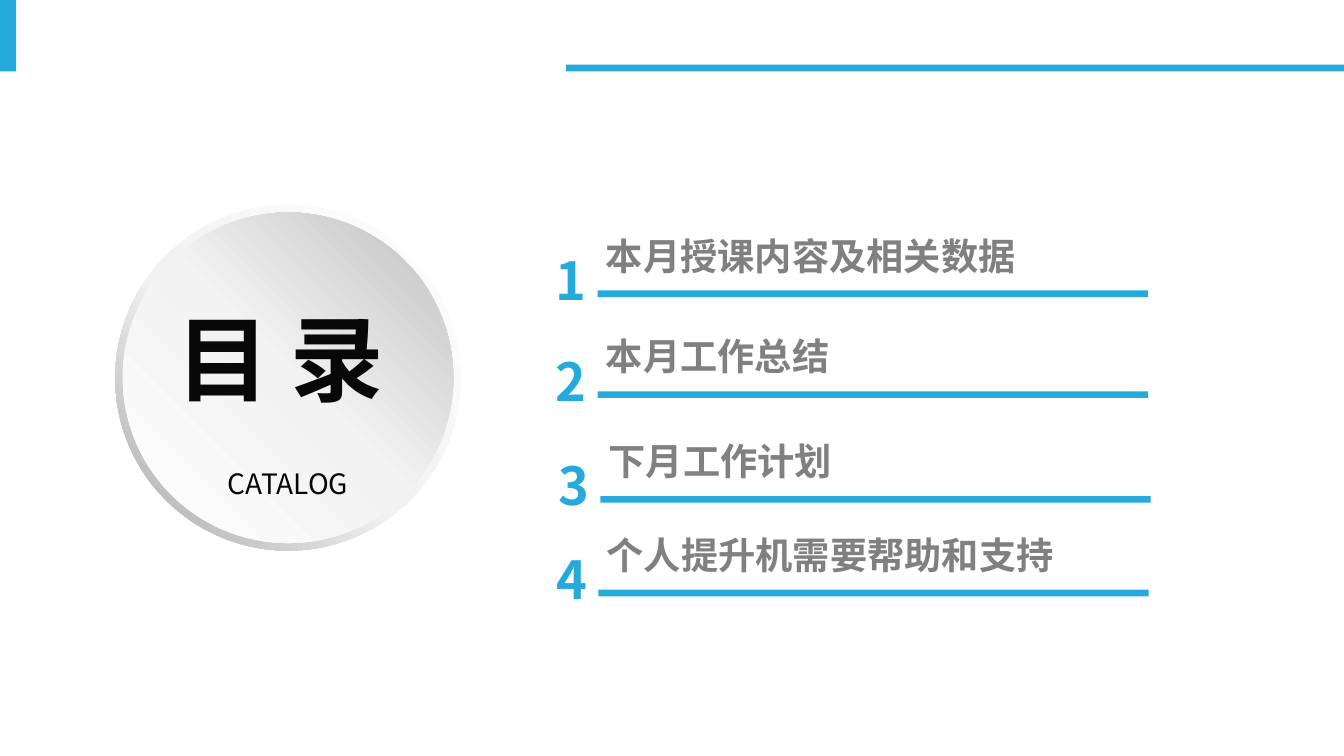
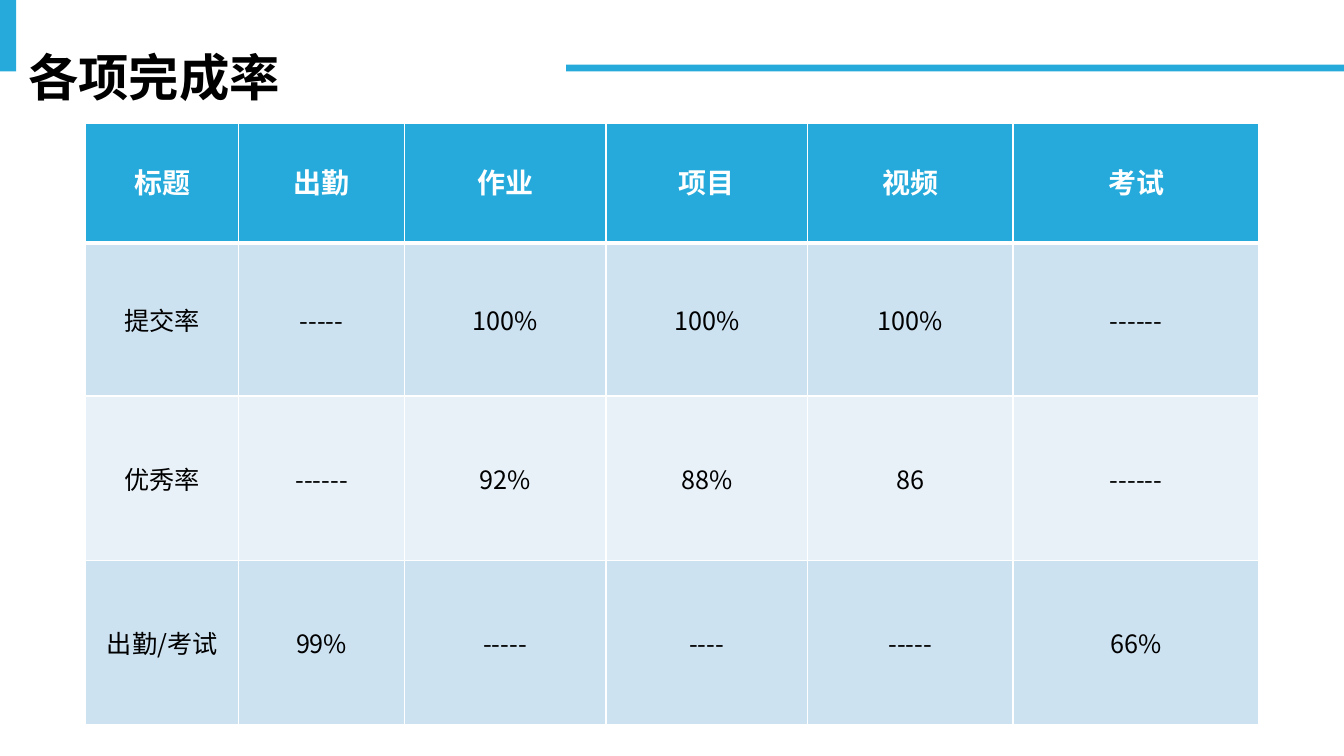
from copy import deepcopy

from lxml import etree
from pptx import Presentation
from pptx.dml.color import RGBColor
from pptx.enum.shapes import MSO_SHAPE
from pptx.enum.text import MSO_ANCHOR, MSO_AUTO_SIZE, PP_ALIGN
from pptx.oxml.ns import qn
from pptx.util import Cm, Pt

RECTANGLE, OVAL, DONUT = MSO_SHAPE.RECTANGLE, MSO_SHAPE.OVAL, MSO_SHAPE.DONUT
TOP, MIDDLE = MSO_ANCHOR.TOP, MSO_ANCHOR.MIDDLE
LEFT, CENTER = PP_ALIGN.LEFT, PP_ALIGN.CENTER
FIT_SHAPE = MSO_AUTO_SIZE.SHAPE_TO_FIT_TEXT

SLIDE_WIDTH, SLIDE_HEIGHT = 33.87, 19.05
FONT, HEADER_FONT = "Noto Sans CJK SC", "Arial"
BLUE, GRAY, INK = "26AADB", "808080", "080808"
BLACK, WHITE = "000000", "FFFFFF"
BAND_FILLS = ("CDE2F1", "E8F1F8")
BAR_HEIGHT = 0.17

# Each entry: label, top, shift to the right
CATALOG = [
    ("本月授课内容及相关数据", 5.87, 0),
    ("本月工作总结", 8.41, 0),
    ("下月工作计划", 11.05, 0.07),
    ("个人提升机需要帮助和支持", 13.41, 0.02),
]
DISC_CENTER = (7.26, 9.52)
# Each layer: shape, diameter, gradient angle, stops
DISC_LAYERS = [
    (DONUT, 8.71, 225, [(0, WHITE), (0.55, "F2F2F2"), (1, "A6A6A6")]),
    (OVAL, 8.33, 45, [(0, WHITE), (0.51, "F2F2F2"), (1, "BFBFBF")]),
]
RIM_RATIO = 0.049

RATES = [
    ("标题", "出勤", "作业", "项目", "视频", "考试"),
    ("提交率", "-----", "100%", "100%", "100%", "------"),
    ("优秀率", "------", "92%", "88%", "86", "------"),
    ("出勤/考试", "99%", "-----", "----", "-----", "66%"),
]
COLUMN_WIDTHS = (3.86, 4.17, 5.08, 5.08, 5.18, 6.2)
ROW_HEIGHTS = (3, 3.86, 4.14, 4.14)


def color(hex_string):
    return RGBColor.from_string(hex_string)


def write(text_frame, text, size, hex_color, bold=False, align=LEFT, font=FONT):
    text_frame.text = text
    paragraph = text_frame.paragraphs[0]
    paragraph.alignment = align
    for run in paragraph.runs:
        run.font.size = Pt(size)
        run.font.bold = bold
        run.font.name = font
        run.font.color.rgb = color(hex_color)
        east_asian = etree.SubElement(run._r.get_or_add_rPr(), qn("a:ea"))
        east_asian.set("typeface", font)


def add_text(slide, box, text, size, hex_color, bold=True, align=LEFT,
             anchor=TOP, inset=True, grow=True):
    shape = slide.shapes.add_textbox(*map(Cm, box))
    text_frame = shape.text_frame
    text_frame.word_wrap = True
    text_frame.vertical_anchor = anchor
    if grow:
        text_frame.auto_size = FIT_SHAPE
    if not inset:
        text_frame.margin_left = text_frame.margin_right = 0
        text_frame.margin_top = text_frame.margin_bottom = 0
    write(text_frame, text, size, hex_color, bold, align)


def add_plain_shape(slide, kind, box):
    shape = slide.shapes.add_shape(kind, *map(Cm, box))
    shape.shadow.inherit = False
    shape.line.fill.background()
    return shape


def add_bar(slide, left, top, width, height=BAR_HEIGHT):
    bar = add_plain_shape(slide, RECTANGLE, (left, top, width, height))
    bar.fill.solid()
    bar.fill.fore_color.rgb = color(BLUE)


def fill_gradient(shape, angle, stops):
    """Fill with three stops; the angle runs counter-clockwise."""
    shape.fill.gradient()
    shape.fill.gradient_angle = angle
    stop_list = shape._element.spPr.find(".//" + qn("a:gsLst"))
    stop_list.append(deepcopy(stop_list[-1]))
    for stop, (position, hex_color) in zip(shape.fill.gradient_stops, stops):
        stop.position = position
        stop.color.rgb = color(hex_color)


def add_slide(presentation):
    """Add a blank slide with the corner mark and the top line."""
    slide = presentation.slides.add_slide(presentation.slide_layouts[6])
    add_bar(slide, 0, 0, 0.41, 1.8)
    add_bar(slide, 14.27, 1.63, SLIDE_WIDTH - 14.27)
    return slide


def set_borders(cell, bottom_width):
    properties = cell._tc.get_or_add_tcPr()
    for side, width in (("L", 1), ("R", 1), ("T", 1), ("B", bottom_width)):
        line = etree.SubElement(properties, qn("a:ln" + side), w=str(Pt(width)))
        fill = etree.SubElement(line, qn("a:solidFill"))
        etree.SubElement(fill, qn("a:srgbClr"), val=WHITE)


def build_catalog(presentation):
    slide = add_slide(presentation)
    center_x, center_y = DISC_CENTER
    for kind, diameter, angle, stops in DISC_LAYERS:
        radius = diameter / 2
        box = (center_x - radius, center_y - radius, diameter, diameter)
        layer = add_plain_shape(slide, kind, box)
        if kind == DONUT:
            layer.adjustments[0] = RIM_RATIO
        fill_gradient(layer, angle, stops)
    add_text(slide, (4.19, 7.47, 6.12, 3.1), "目 录", 66.7, INK)
    add_text(slide, (4.72, 11.48, 5.08, 1.42), "CATALOG", 20, INK, bold=False,
             align=CENTER, anchor=MIDDLE, grow=False)

    for number, (label, top, shift) in enumerate(CATALOG, 1):
        add_bar(slide, 15.06 + shift, top + 1.45, 13.87)
        add_text(slide, (14 + shift, top + 0.38, 2.13, 1.6), str(number),
                 37.4, BLUE, inset=False)
        add_text(slide, (15.27 + shift, top, 13.7, 1.14), label,
                 26.6, GRAY, inset=False)


def build_rates(presentation):
    slide = add_slide(presentation)
    add_text(slide, (0.71, 1.17, 13.77, 1.55), "各项完成率", 36, BLACK, inset=False)
    box = (2.16, 3.12, sum(COLUMN_WIDTHS), sum(ROW_HEIGHTS))
    table = slide.shapes.add_table(
        len(RATES), len(COLUMN_WIDTHS), *map(Cm, box)).table
    for column, width in zip(table.columns, COLUMN_WIDTHS):
        column.width = Cm(width)
    for row_index, (texts, height) in enumerate(zip(RATES, ROW_HEIGHTS)):
        table.rows[row_index].height = Cm(height)
        is_header = row_index == 0
        fill_color = BLUE if is_header else BAND_FILLS[(row_index - 1) % 2]
        for column_index, text in enumerate(texts):
            cell = table.cell(row_index, column_index)
            cell.vertical_anchor = MIDDLE
            set_borders(cell, 3 if is_header else 1)
            cell.fill.solid()
            cell.fill.fore_color.rgb = color(fill_color)
            if is_header:
                write(cell.text_frame, text, 20, WHITE, True, CENTER, HEADER_FONT)
            else:
                write(cell.text_frame, text, 18, BLACK, False, CENTER)


def main():
    presentation = Presentation()
    presentation.slide_width = Cm(SLIDE_WIDTH)
    presentation.slide_height = Cm(SLIDE_HEIGHT)
    build_catalog(presentation)
    build_rates(presentation)
    presentation.save("out.pptx")


if __name__ == "__main__":
    main()
